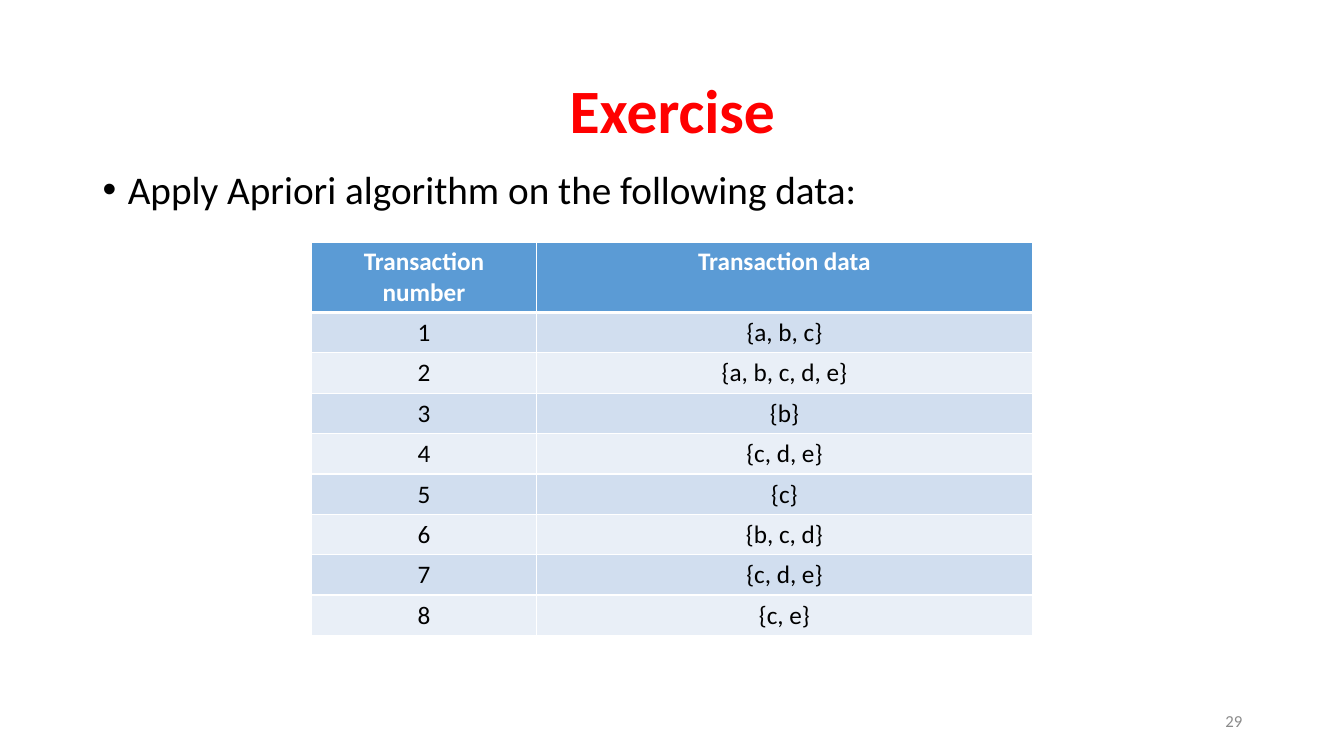
from dataclasses import dataclass

from lxml.etree import SubElement
from pptx import Presentation
from pptx.dml.color import RGBColor as Color
from pptx.enum.text import MSO_ANCHOR as Anchor, PP_ALIGN as Align
from pptx.oxml.ns import qn
from pptx.util import Inches, Pt


@dataclass(frozen=True)
class Theme:
    font: str = "Calibri"
    title: str = "FF0000"
    ink: str = "000000"
    muted: str = "8B8B8B"
    white: str = "FFFFFF"
    header: str = "5B9BD5"
    bands: tuple = ("D1DEEF", "E9EFF7")
    title_size: int = 44
    body_size: int = 28
    table_size: int = 18
    number_size: int = 12
    thin_rule: float = 0.96
    thick_rule: float = 3


theme = Theme()


def write_text(frame, text, size, color=theme.ink, bold=False, align=Align.CENTER,
               anchor=Anchor.TOP, line_spacing=1.0, space_before=0):
    frame.word_wrap = True
    frame.vertical_anchor = anchor
    paragraph = frame.paragraphs[0]
    paragraph.alignment = align
    paragraph.line_spacing = line_spacing
    paragraph.space_before = Pt(space_before)
    run = paragraph.add_run()
    run.text = text
    run.font.name = theme.font
    run.font.size = Pt(size)
    run.font.bold = bold
    run.font.color.rgb = Color.from_string(color)
    return paragraph


def add_border(cell, side, width):
    line = SubElement(cell._tc.get_or_add_tcPr(), qn(f"a:ln{side}"), w=str(Pt(width)))
    fill = SubElement(line, qn("a:solidFill"))
    SubElement(fill, qn("a:srgbClr"), val=theme.white)


presentation = Presentation()
presentation.slide_width = Inches(13.33)
presentation.slide_height = Inches(7.5)
slide = presentation.slides.add_slide(presentation.slide_layouts[6])

title = slide.shapes.add_textbox(Inches(0.92), Inches(0.4), Inches(11.5), Inches(1.45))
write_text(title.text_frame, "Exercise", theme.title_size, color=theme.title, bold=True,
           anchor=Anchor.MIDDLE, line_spacing=0.9)

task = slide.shapes.add_textbox(Inches(0.92), Inches(1.64), Inches(11.5), Inches(4.76))
paragraph = write_text(task.text_frame, "Apply Apriori algorithm on the following data:",
                       theme.body_size, align=Align.LEFT, line_spacing=0.9, space_before=10)
properties = paragraph._p.get_or_add_pPr()
properties.set("marL", str(Inches(0.25)))
properties.set("indent", str(Inches(-0.25)))
SubElement(properties, qn("a:buFont"), typeface="Arial")
SubElement(properties, qn("a:buChar"), char="•")

page_number = slide.shapes.add_textbox(Inches(9.42), Inches(6.95), Inches(3), Inches(0.4))
write_text(page_number.text_frame, "29", theme.number_size, color=theme.muted,
           align=Align.RIGHT, anchor=Anchor.MIDDLE)

transactions = ["a, b, c", "a, b, c, d, e", "b", "c, d, e", "c", "b, c, d", "c, d, e", "c, e"]
rows = [("Transaction number", "Transaction data")]
rows += [(str(number), f"{{{items}}}") for number, items in enumerate(transactions, 1)]

table = slide.shapes.add_table(len(rows), 2, Inches(3.09), Inches(2.4),
                               Inches(7.15), Inches(3.81)).table
for column, width in zip(table.columns, (2.23, 4.92)):
    column.width = Inches(width)

for row_index, values in enumerate(rows):
    is_header = row_index == 0
    table.rows[row_index].height = Inches(0.68 if is_header else 0.39)
    background = theme.header if is_header else theme.bands[(row_index - 1) % 2]
    borders = {
        "L": theme.thin_rule,
        "R": theme.thin_rule,
        "T": theme.thick_rule if row_index == 1 else theme.thin_rule,
        "B": theme.thick_rule if is_header else theme.thin_rule,
    }
    for column_index, value in enumerate(values):
        cell = table.cell(row_index, column_index)
        for side, width in borders.items():
            add_border(cell, side, width)
        cell.fill.solid()
        cell.fill.fore_color.rgb = Color.from_string(background)
        write_text(cell.text_frame, value, theme.table_size, bold=is_header,
                   color=theme.white if is_header else theme.ink)

presentation.save("out.pptx")
